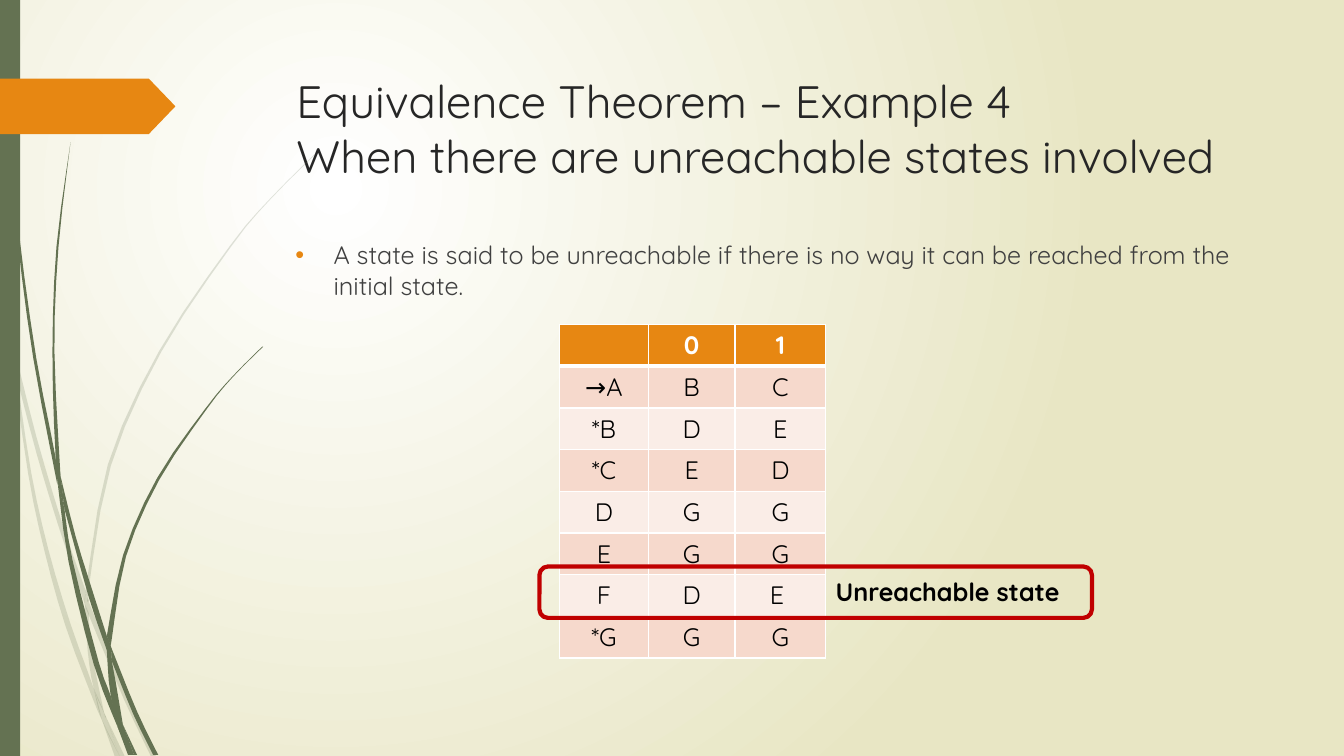
import dataclasses
import typing

import pptx
import pptx.dml.color
import pptx.enum.shapes
import pptx.enum.text
import pptx.oxml
import pptx.oxml.ns
import pptx.util

Inches = pptx.util.Inches
Pt = pptx.util.Pt
qn = pptx.oxml.ns.qn
Align = pptx.enum.text.PP_ALIGN
Shape = pptx.enum.shapes.MSO_SHAPE
Point = tuple[float, float]


@dataclasses.dataclass(frozen=True)
class Theme:
    """Colours, type sizes and font of the slide."""
    font: str = "Quicksand"
    title_size: float = 32.4
    body_size: float = 18
    paper: str = "FFFFFF"
    sand: str = "E8E6C4"
    moss: str = "647252"
    orange: str = "E78712"
    title: str = "262626"
    body: str = "404040"
    ink: str = "000000"
    bands: tuple[str, str] = ("F6D9CC", "FAEDE7")
    alarm: str = "C00000"


class Box(typing.NamedTuple):
    """A rectangle in inches."""
    left: float
    top: float
    width: float
    height: float

    def lengths(self) -> list[int]:
        """Return the four measures as slide lengths."""
        return [Inches(value) for value in self]


class Stalk(typing.NamedTuple):
    """A piece of grass: its left and right edges, both from tip to root."""
    left_edge: list[Point]
    right_edge: list[Point]


THEME = Theme()
PALE_GRASS = [
    Stalk([(0, 2.99), (0.1, 3.44), (0.11, 3.5)], [(0, 2.82), (0.09, 3.22), (0.11, 3.5)]),
    Stalk([(0.17, 3.76), (0.36, 4.49), (0.58, 5.22), (0.84, 5.99)],
          [(0.14, 3.45), (0.36, 4.33), (0.62, 5.2), (0.85, 5.86)]),
    Stalk([(0.88, 6.1), (1.23, 6.94), (1.5, 7.51)],
          [(0.88, 5.96), (0.92, 6.07), (1.27, 6.92), (1.55, 7.51)]),
    Stalk([(1.05, 7.11), (1.19, 7.51)], [(1.05, 7.11), (1.24, 7.51)]),
    Stalk([(0.11, 3.5), (0.28, 4.7), (0.44, 5.46), (0.65, 6.21), (0.92, 6.93), (1.01, 7.14)],
          [(0.17, 3.76), (0.31, 4.69), (0.48, 5.45), (0.7, 6.19), (0.93, 6.83), (1.01, 7.14)]),
    Stalk([(0.84, 5.99), (0.87, 6.46), (0.93, 6.83), (1.05, 7.11)],
          [(0.88, 6.08), (0.91, 6.46), (1.03, 7.06), (1.05, 7.11)]),
    Stalk([(3.12, 1.53), (2.68, 1.97), (2.28, 2.44), (1.58, 3.48), (1.07, 4.61), (0.85, 5.86)],
          [(3.12, 1.54), (2.68, 1.98), (2.29, 2.45), (1.6, 3.49), (1.1, 4.62), (0.88, 5.84),
           (0.88, 5.96)]),
    Stalk([(1.01, 7.14), (1.14, 7.51)], [(1.01, 7.14), (1.19, 7.51)]),
    Stalk([(0.85, 5.86), (0.84, 5.99), (0.88, 6.1)], [(0.88, 5.96), (0.88, 6.1)]),
    Stalk([(0.93, 6.83), (1.01, 7.14), (1.19, 7.51)], [(0.93, 6.83), (1.05, 7.11), (1.19, 7.51)]),
]
DARK_GRASS = [
    Stalk([(0.03, 0), (0.07, 1.1), (0.17, 2.33), (0.33, 3.55), (0.57, 4.81)],
          [(0.04, 0), (0.08, 1.09), (0.19, 2.32), (0.36, 3.55), (0.55, 4.53), (0.57, 4.81)]),
    Stalk([(0.64, 5.05), (0.88, 5.92), (1.06, 6.45)],
          [(0.6, 4.72), (0.75, 5.32), (0.93, 5.9), (1.06, 6.31)]),
    Stalk([(1.11, 6.56), (1.32, 7.08), (1.52, 7.49)],
          [(1.1, 6.41), (1.13, 6.49), (1.36, 7.06), (1.57, 7.49)]),
    Stalk([(0.57, 4.77), (0.68, 5.57), (0.93, 6.59), (1.17, 7.22)],
          [(0.64, 5.05), (0.72, 5.56), (0.98, 6.57), (1.1, 6.91), (1.17, 7.22)]),
    Stalk([(0.7, 1.41), (0.56, 2.45), (0.52, 3.49), (0.55, 4.49), (0.6, 4.72)],
          [(0.7, 1.41), (0.58, 2.45), (0.54, 3.49), (0.6, 4.72)]),
    Stalk([(1.22, 7.19), (1.33, 7.49)], [(1.22, 7.19), (1.36, 7.49)]),
    Stalk([(0.55, 4.49), (0.57, 4.77), (0.64, 5.05)], [(0.55, 4.49), (0.6, 4.72), (0.64, 5.05)]),
    Stalk([(2.6, 3.44), (2.31, 3.73), (2.04, 4.05), (1.56, 4.74), (1.22, 5.51), (1.06, 6.31)],
          [(2.61, 3.44), (2.31, 3.74), (2.05, 4.06), (1.58, 4.76), (1.25, 5.52), (1.11, 6.33),
           (1.1, 6.41)]),
    Stalk([(1.17, 7.22), (1.27, 7.49)], [(1.17, 7.22), (1.31, 7.49)]),
    Stalk([(1.06, 6.45), (1.1, 6.91), (1.22, 7.19)], [(1.06, 6.45), (1.11, 6.56), (1.22, 7.19)]),
    Stalk([(1.06, 6.31), (1.06, 6.45), (1.11, 6.56)], [(1.06, 6.31), (1.1, 6.41), (1.11, 6.56)]),
    Stalk([(1.1, 6.91), (1.17, 7.22), (1.3, 7.49)], [(1.1, 6.91), (1.22, 7.19), (1.33, 7.49)]),
]
TRANSITIONS = [
    ("", "0", "1"), ("→A", "B", "C"), ("*B", "D", "E"), ("*C", "E", "D"),
    ("D", "G", "G"), ("E", "G", "G"), ("F", "D", "E "), ("*G", "G", "G"),
]
COLUMN_WIDTHS = (0.88, 0.86, 0.9)


def rgb(code: str) -> pptx.dml.color.RGBColor:
    """Turn a hex code into a colour."""
    return pptx.dml.color.RGBColor.from_string(code)


def xml_element(markup: str):
    """Build a drawing element, with %s standing for the namespace."""
    return pptx.oxml.parse_xml(markup % pptx.oxml.ns.nsdecls("a"))


def write_text(frame, text: str, *, size: float = THEME.body_size, color: str = THEME.ink,
               bold: bool = False, align=Align.LEFT):
    """Write one formatted paragraph into a text frame and return it."""
    frame.word_wrap = True
    paragraph = frame.paragraphs[0]
    paragraph.text = text
    paragraph.alignment = align
    for run in paragraph.runs:
        run.font.name, run.font.size, run.font.bold = THEME.font, Pt(size), bold
        run.font.color.rgb = rgb(color)
    return paragraph


def paint(shape, color: str, opacity: int = 100) -> None:
    """Give a shape a plain fill with no line or shadow."""
    shape.shadow.inherit = False
    shape.fill.solid()
    shape.fill.fore_color.rgb = rgb(color)
    shape.line.fill.background()
    if opacity < 100:
        shape._element.spPr.find(".//" + qn("a:srgbClr")).append(
            xml_element(f'<a:alpha %s val="{opacity * 1000}"/>'))


def smooth(points: list[Point], steps: int = 3) -> list[Point]:
    """Run a Catmull-Rom curve through three or more points."""
    if len(points) < 3:
        return points
    padded = [points[0], *points, points[-1]]
    curve = [points[0]]
    for a, b, c, d in zip(padded, padded[1:], padded[2:], padded[3:]):
        for t in (step / steps for step in range(1, steps + 1)):
            curve.append(tuple(
                q + t * (r - p + t * (2 * p - 5 * q + 4 * r - s + t * (3 * (q - r) + s - p))) / 2
                for p, q, r, s in zip(a, b, c, d)))
    return curve


def draw_grass(slide, stalks: list[Stalk], opacity: int) -> None:
    """Draw every stalk between its two edges."""
    for stalk in stalks:
        outline = smooth(stalk.left_edge) + smooth(stalk.right_edge)[::-1]
        corners = [(Inches(x), Inches(y)) for x, y in outline]
        builder = slide.shapes.build_freeform(*corners[0])
        builder.add_line_segments(corners[1:], close=True)
        paint(builder.convert_to_shape(), THEME.moss, opacity)


def draw_background(slide) -> None:
    """Fill the slide with a circular gradient."""
    fill = slide.background.fill
    fill.gradient()
    for stop, color in zip(fill.gradient_stops, (THEME.paper, THEME.sand)):
        stop.color.rgb = rgb(color)
    gradient = slide.element.find(".//" + qn("a:gradFill"))
    gradient.replace(gradient.find(qn("a:lin")), xml_element(
        '<a:path %s path="circle">'
        '<a:fillToRect l="50000" t="50000" r="100000" b="100000"/></a:path>'))


def draw_table(slide, box: Box) -> None:
    """Draw the transition table with white cell borders."""
    table = slide.shapes.add_table(len(TRANSITIONS), len(COLUMN_WIDTHS), *box.lengths()).table
    for column, width in zip(table.columns, COLUMN_WIDTHS):
        column.width = Inches(width)
    for index, values in enumerate(TRANSITIONS):
        header = index == 0
        for cell, value in zip(table.rows[index].cells, values):
            write_text(cell.text_frame, value, bold=header, align=Align.CENTER,
                       color=THEME.paper if header else THEME.ink)
            cell.fill.solid()
            cell.fill.fore_color.rgb = rgb(
                THEME.orange if header else THEME.bands[(index - 1) % 2])
            widths = {"L": 1, "R": 1, "T": 3 if index == 1 else 1, "B": 3 if header else 1}
            for position, (side, width) in enumerate(widths.items()):
                cell._tc.get_or_add_tcPr().insert(position, xml_element(
                    f'<a:ln{side} %s w="{Pt(width)}"><a:solidFill>'
                    f'<a:srgbClr val="{THEME.paper}"/></a:solidFill></a:ln{side}>'))


def add_text_box(slide, box: Box, text: str, **text_format):
    """Add a text box and return its paragraph."""
    return write_text(slide.shapes.add_textbox(*box.lengths()).text_frame, text, **text_format)


def add_bullet(paragraph) -> None:
    """Give a paragraph a hanging orange bullet."""
    paragraph.space_before = Pt(10)
    properties = paragraph._p.get_or_add_pPr()
    properties.set("marL", str(Inches(0.38)))
    properties.set("indent", str(-Inches(0.38)))
    for markup in (f'<a:buClr %s><a:srgbClr val="{THEME.orange}"/></a:buClr>',
                   '<a:buFont %s typeface="Arial"/>', '<a:buChar %s char="•"/>'):
        properties.append(xml_element(markup))


presentation = pptx.Presentation()
presentation.slide_width, presentation.slide_height = Inches(13.33), Inches(7.5)
slide = presentation.slides.add_slide(presentation.slide_layouts[5])
draw_background(slide)
draw_grass(slide, PALE_GRASS, 20)
draw_grass(slide, DARK_GRASS, 100)
paint(slide.shapes.add_shape(Shape.RECTANGLE, *Box(0, 0, 0.2, 7.5).lengths()), THEME.moss)
tab = slide.shapes.add_shape(Shape.PENTAGON, *Box(0, 0.78, 1.74, 0.55).lengths())
tab.adjustments[0] = 0.48
paint(tab, THEME.orange)
title = slide.shapes.title
title.left, title.top, title.width, title.height = Box(2.84, 0.68, 10.14, 1.4).lengths()
title.text_frame.auto_size = pptx.enum.text.MSO_AUTO_SIZE.NONE
title.text_frame.vertical_anchor = pptx.enum.text.MSO_ANCHOR.TOP
write_text(title.text_frame, "Equivalence Theorem – Example 4\v"
           "When there are unreachable states involved", size=THEME.title_size, color=THEME.title)
add_bullet(add_text_box(
    slide, Box(2.83, 2.33, 9.75, 4.13), "A state is said to be unreachable if there is "
    "no way it can be reached from the initial state.", color=THEME.body))
draw_table(slide, Box(5.55, 3.22, sum(COLUMN_WIDTHS), 3.31))
outline = slide.shapes.add_shape(Shape.ROUNDED_RECTANGLE, *Box(5.35, 5.62, 5.48, 0.51).lengths())
outline.shadow.inherit = False
outline.fill.background()
outline.line.color.rgb, outline.line.width = rgb(THEME.alarm), Pt(3)
add_text_box(slide, Box(8.19, 5.67, 2.63, 0.4), "Unreachable state", bold=True)
presentation.save("out.pptx")
